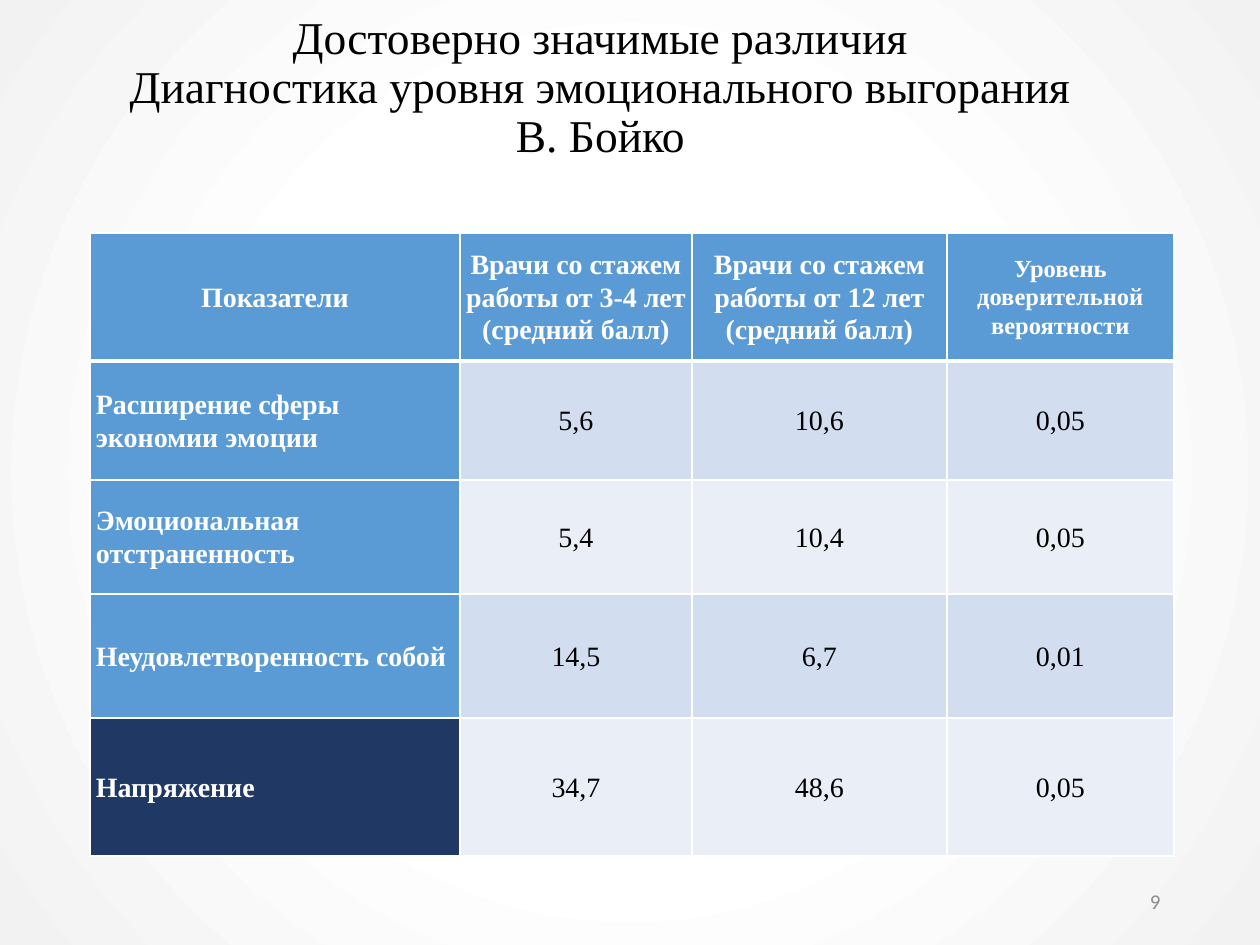
import dataclasses

import lxml.etree
import pptx
import pptx.dml.color
import pptx.enum.shapes
import pptx.enum.text
import pptx.oxml
import pptx.oxml.ns
import pptx.util

SLIDE_WIDTH, SLIDE_HEIGHT = 1260, 945
EMU_PER_PX = 9144000 / SLIDE_WIDTH

SERIF, SANS = "Times New Roman", "Calibri"
WHITE, BLACK, GREY = "FFFFFF", "000000", "8C8C8C"
BLUE, NAVY = "5B9BD5", "203864"
BANDS = ("D2DEEF", "EAEFF7")

ALIGN = pptx.enum.text.PP_ALIGN
MIDDLE = pptx.enum.text.MSO_ANCHOR.MIDDLE

TITLE_LINES = (
    "Достоверно значимые различия",
    "Диагностика уровня эмоционального выгорания",
    "В. Бойко",
)
COLUMN_WIDTHS = (370, 232, 255, 227)
ROW_HEIGHTS = (128, 119, 114, 124, 138)
HEADERS = (
    ("Показатели",),
    ("Врачи со стажем работы от 3-4 лет", "(средний балл)"),
    ("Врачи со стажем работы от 12 лет", "(средний балл)"),
    ("Уровень доверительной вероятности",),
)


@dataclasses.dataclass(frozen=True)
class Indicator:
    name: str
    values: tuple[str, ...]
    fill: str = BLUE


@dataclasses.dataclass(frozen=True)
class TextStyle:
    size: int
    color: str
    font: str = SERIF
    bold: bool = False
    align: ALIGN = ALIGN.CENTER
    spacing: float = 1.0


INDICATORS = (
    Indicator("Расширение сферы экономии эмоции", ("5,6", "10,6", "0,05")),
    Indicator("Эмоциональная отстраненность", ("5,4", "10,4", "0,05")),
    Indicator("Неудовлетворенность собой", ("14,5", "6,7", "0,01")),
    Indicator("Напряжение", ("34,7", "48,6", "0,05"), NAVY),
)
TITLE_STYLE = TextStyle(26, BLACK, spacing=0.9)
HEADER_STYLE = TextStyle(16, WHITE, bold=True, spacing=1.05)
NARROW_HEADER_STYLE = dataclasses.replace(HEADER_STYLE, size=14)
NAME_STYLE = dataclasses.replace(HEADER_STYLE, align=ALIGN.LEFT)
VALUE_STYLE = TextStyle(16, BLACK, spacing=1.05)
NUMBER_STYLE = TextStyle(12, GREY, SANS, align=ALIGN.RIGHT)


def px(length: int) -> int:
    return round(length * EMU_PER_PX)


def rgb(value: str) -> pptx.dml.color.RGBColor:
    return pptx.dml.color.RGBColor.from_string(value)


def add_run(paragraph, text: str, style: TextStyle) -> None:
    paragraph.alignment = style.align
    paragraph.line_spacing = style.spacing
    run = paragraph.add_run()
    run.text = text
    run.font.name = style.font
    run.font.size = pptx.util.Pt(style.size)
    run.font.bold = style.bold
    run.font.color.rgb = rgb(style.color)


def add_background(slide) -> None:
    """Lay a radial gradient under everything else."""
    shape = slide.shapes.add_shape(
        pptx.enum.shapes.MSO_SHAPE.RECTANGLE, 0, 0, px(SLIDE_WIDTH), px(SLIDE_HEIGHT)
    )
    shape.shadow.inherit = False
    shape.line.fill.background()
    shape.fill.gradient()
    gradient = shape.element.spPr.find(pptx.oxml.ns.qn("a:gradFill"))
    stops = "".join(
        f'<a:gs pos="{position}"><a:srgbClr val="{color}"/></a:gs>'
        for position, color in ((0, WHITE), (50000, WHITE), (100000, "F2F2F2"))
    )
    radial = pptx.oxml.parse_xml(
        f'<a:gradFill {pptx.oxml.ns.nsdecls("a")}><a:gsLst>{stops}</a:gsLst>'
        '<a:path path="circle">'
        '<a:fillToRect l="50000" t="50000" r="50000" b="50000"/>'
        "</a:path></a:gradFill>"
    )
    gradient.getparent().replace(gradient, radial)
    slide.shapes.element.insert(2, shape.element)


def add_title(slide) -> None:
    title = slide.shapes.title
    title.left, title.top, title.width, title.height = map(px, (58, 58, 1085, 110))
    frame = title.text_frame
    frame.word_wrap = True
    frame.auto_size = pptx.enum.text.MSO_AUTO_SIZE.NONE
    frame.vertical_anchor = MIDDLE
    # The deep bottom inset lifts the text by half a line
    frame.margin_top, frame.margin_bottom = px(6), px(55)
    paragraph = frame.paragraphs[0]
    for index, line in enumerate(TITLE_LINES):
        if index:
            paragraph.add_line_break()
        add_run(paragraph, line, TITLE_STYLE)


def add_border(cell, side: str, points: int) -> None:
    properties = cell._tc.get_or_add_tcPr()
    line = lxml.etree.SubElement(
        properties, pptx.oxml.ns.qn(f"a:ln{side}"), w=str(pptx.util.Pt(points))
    )
    fill = lxml.etree.SubElement(line, pptx.oxml.ns.qn("a:solidFill"))
    lxml.etree.SubElement(fill, pptx.oxml.ns.qn("a:srgbClr"), val=WHITE)


def fill_cell(
    table, row: int, column: int, lines: tuple[str, ...], style: TextStyle, fill: str
) -> None:
    cell = table.cell(row, column)
    # A thick rule parts the header from the body
    add_border(cell, "L", 1)
    add_border(cell, "R", 1)
    add_border(cell, "T", 3 if row == 1 else 1)
    add_border(cell, "B", 3 if row == 0 else 1)
    cell.fill.solid()
    cell.fill.fore_color.rgb = rgb(fill)
    cell.vertical_anchor = MIDDLE
    cell.margin_top = cell.margin_bottom = 0
    cell.margin_left = cell.margin_right = px(4 if column == 3 else 6)
    frame = cell.text_frame
    for index, line in enumerate(lines):
        paragraph = frame.add_paragraph() if index else frame.paragraphs[0]
        add_run(paragraph, line, style)


def add_indicator_table(slide) -> None:
    table = slide.shapes.add_table(
        len(ROW_HEIGHTS), len(COLUMN_WIDTHS), px(90), px(233),
        px(sum(COLUMN_WIDTHS)), px(sum(ROW_HEIGHTS)),
    ).table
    for column, width in zip(table.columns, COLUMN_WIDTHS):
        column.width = px(width)
    for row, height in zip(table.rows, ROW_HEIGHTS):
        row.height = px(height)

    for column, lines in enumerate(HEADERS):
        style = NARROW_HEADER_STYLE if column == 3 else HEADER_STYLE
        fill_cell(table, 0, column, lines, style, BLUE)
    for row, indicator in enumerate(INDICATORS, start=1):
        fill_cell(table, row, 0, (indicator.name,), NAME_STYLE, indicator.fill)
        for column, value in enumerate(indicator.values, start=1):
            fill_cell(table, row, column, (value,), VALUE_STYLE, BANDS[(row - 1) % 2])


def add_slide_number(slide) -> None:
    box = slide.shapes.add_textbox(px(890), px(876), px(283), px(50))
    box.text_frame.word_wrap = True
    box.text_frame.vertical_anchor = MIDDLE
    add_run(box.text_frame.paragraphs[0], "9", NUMBER_STYLE)


def main() -> None:
    presentation = pptx.Presentation()
    presentation.slide_width = px(SLIDE_WIDTH)
    presentation.slide_height = px(SLIDE_HEIGHT)
    slide = presentation.slides.add_slide(presentation.slide_layouts[5])
    add_background(slide)
    add_title(slide)
    add_indicator_table(slide)
    add_slide_number(slide)
    presentation.save("out.pptx")


if __name__ == "__main__":
    main()
